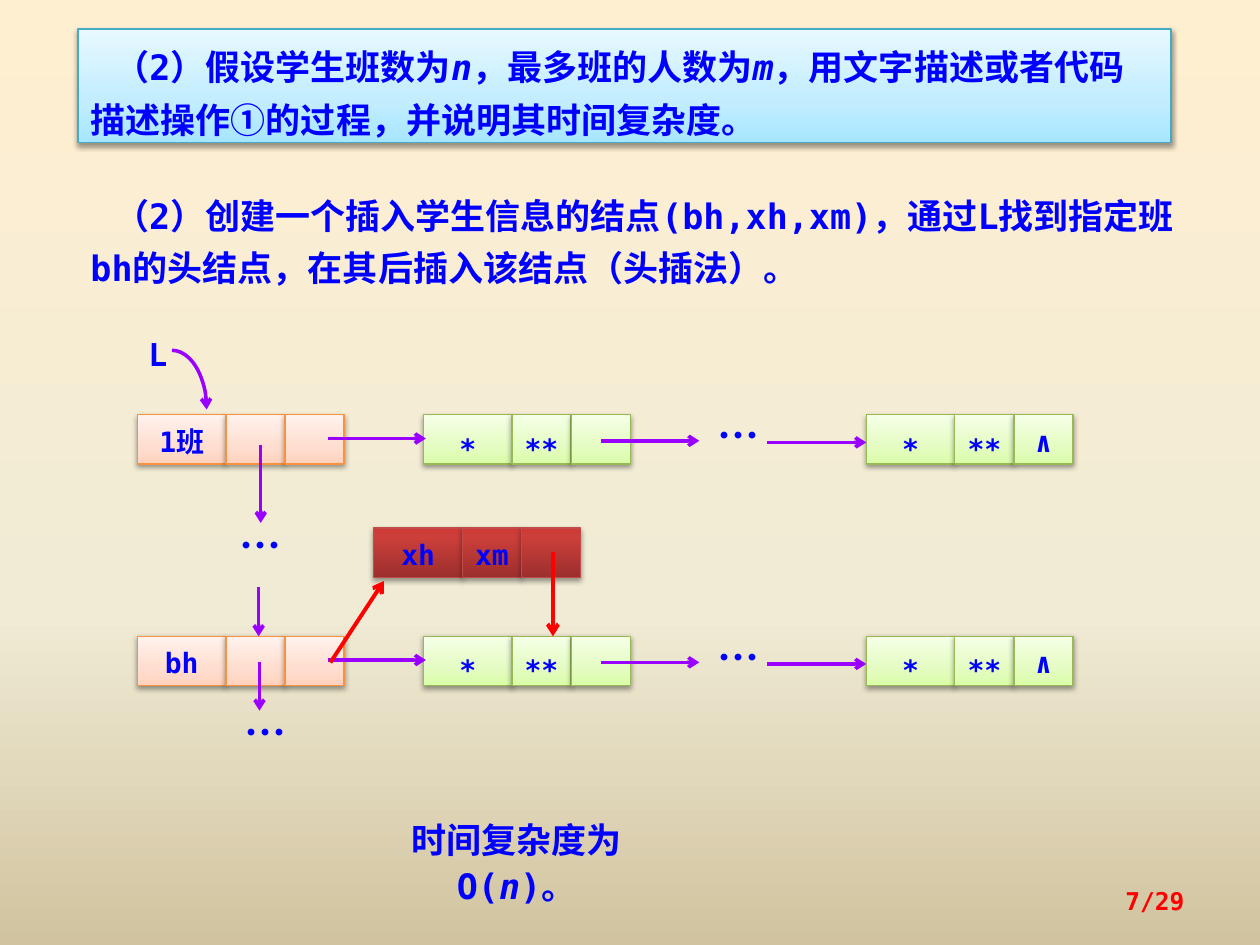
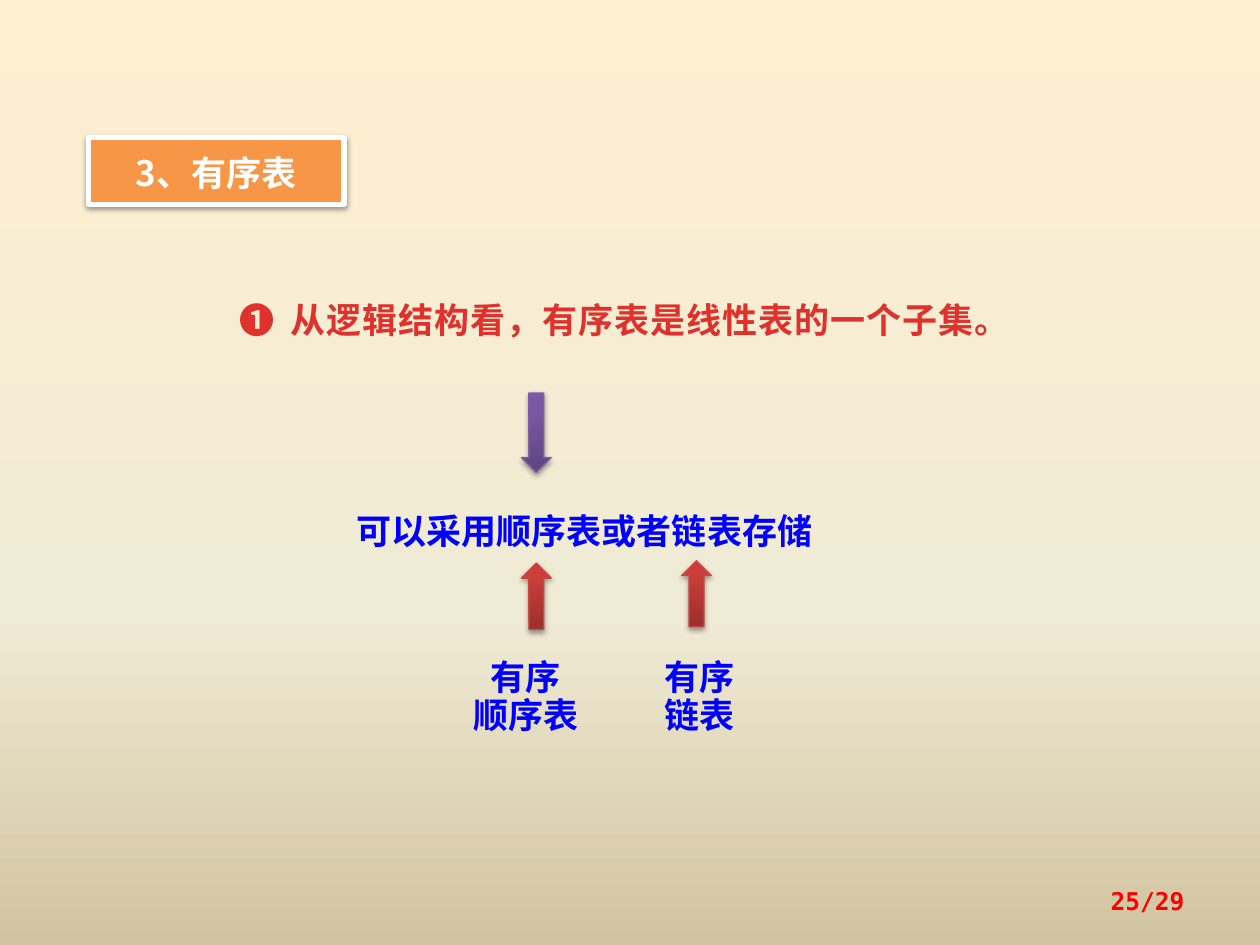
from lxml import etree
from pptx import Presentation
from pptx.dml.color import RGBColor
from pptx.enum import shapes, text
from pptx.oxml.ns import qn
from pptx.util import Pt

COLOURS = {
    "ink": "0000FF",
    "link": "9900FF",
    "insert": "FF0000",
    "point": "E0322D",
    "white": "FFFFFF",
    "orange": "F79646",
    "sky line": "46AAC5",
    "peach line": "F69240",
    "lime line": "98B955",
    "brick line": "BF4C48",
    "violet line": "7D60A0",
}
GRADIENTS = {
    "page": {0: "FFEFD1", 65: "F0EBD5", 100: "D1C39F"},
    "sky": {0: "A7E6FF", 35: "C1EDFF", 100: "E7F8FF"},
    "peach": {0: "FFD2BD", 35: "FFDED0", 100: "FFF2ED"},
    "lime": {0: "DAFDA7", 35: "E4FCC2", 100: "F5FFE7"},
    "brick": {0: "9C2F2D", 80: "CB3E3A", 100: "CE3B37"},
    "violet": {0: "5F4480", 80: "7B58A6", 100: "7C57A8"},
}
MONO = "DejaVu Sans Mono"
SANS = "Noto Sans CJK SC"
LEFT, CENTER, RIGHT = text.PP_ALIGN.LEFT, text.PP_ALIGN.CENTER, text.PP_ALIGN.RIGHT
TOP, MIDDLE = text.MSO_ANCHOR.TOP, text.MSO_ANCHOR.MIDDLE
SHAPE = shapes.MSO_SHAPE
CELL_WIDTHS = (50.6, 33.8, 33.8)
CELL_HEIGHT = 28.2


def colour(name):
    """Return the named colour."""
    return RGBColor.from_string(COLOURS[name])


class Painter:
    """Holds the deck style and draws elements on the current slide."""

    def __init__(self):
        """Start a deck with the shared background."""
        self.deck = Presentation()
        self.deck.slide_width, self.deck.slide_height = Pt(720), Pt(540)
        self.page = None
        master = self.deck.slide_master
        self.gradient(master.background.fill, master.element, "page", 270)

    def new_page(self, number):
        """Add a slide with its page number."""
        self.page = self.deck.slides.add_slide(self.deck.slide_layouts[5])
        self.label((516, 500.4, 168, 28.8), [number + "/29"], size=14, ink="insert",
                   align=RIGHT, anchor=MIDDLE, spacing=1.0)

    def gradient(self, fill, element, name, angle=90):
        """Fill with a named gradient."""
        fill.gradient()
        fill.gradient_angle = angle
        stops = element.find(".//" + qn("a:gsLst"))
        for stop in list(stops):
            stops.remove(stop)
        for place, value in GRADIENTS[name].items():
            stop = etree.SubElement(stops, qn("a:gs"), pos=str(place * 1000))
            etree.SubElement(stop, qn("a:srgbClr"), val=value)

    def finish(self, shape, fill, line, width=0.75):
        """Give a shape its fill, outline and soft shadow."""
        if fill in GRADIENTS:
            self.gradient(shape.fill, shape.element, fill)
        else:
            shape.fill.solid()
            shape.fill.fore_color.rgb = colour(fill)
        shape.line.color.rgb = colour(line)
        shape.line.width = Pt(width)
        shape.shadow.inherit = False
        effects = shape.element.spPr.find(qn("a:effectLst"))
        shadow = etree.SubElement(effects, qn("a:outerShdw"), blurRad=str(Pt(3.1)),
                                  dist=str(Pt(1.6)), dir="5400000", rotWithShape="0")
        black = etree.SubElement(shadow, qn("a:srgbClr"), val="000000")
        etree.SubElement(black, qn("a:alpha"), val="38000")

    def set_text(self, box, lines, size=20, font=MONO, ink="ink", align=LEFT,
                 anchor=TOP, spacing=1.1, indent=0, tab=0, tracking=0):
        """Set lines, each a string or a list of spans whose odd ones are italic."""
        frame = box.text_frame
        frame.word_wrap = True
        frame.auto_size = text.MSO_AUTO_SIZE.NONE
        frame.vertical_anchor = anchor
        for index, line in enumerate(lines):
            para = frame.add_paragraph() if index else frame.paragraphs[0]
            spans = [line] if isinstance(line, str) else line
            for order, words in enumerate(spans):
                span = para.add_run()
                span.text = words
                if order % 2:
                    span.font.italic = True
            para.alignment = align
            para.line_spacing = spacing
            para.space_before = Pt(0)
            props = para._p.get_or_add_pPr()
            if indent:
                props.set("indent", str(Pt(indent)))
            if tab:
                tabs = etree.SubElement(props, qn("a:tabLst"))
                etree.SubElement(tabs, qn("a:tab"), pos=str(Pt(tab)), algn="l")
            para.font.size = Pt(size)
            para.font.bold = True
            para.font.color.rgb = colour(ink)
            para.font.name = font
            defaults = props.find(qn("a:defRPr"))
            etree.SubElement(defaults, qn("a:ea"), typeface=SANS)
            if tracking:
                defaults.set("spc", str(int(tracking * 100)))

    def title(self, place, lines, fill, line, width=0.75, inset=3.6, **style):
        """Move and format the title placeholder."""
        box = self.page.shapes.title
        box.left, box.top, box.width, box.height = map(Pt, place)
        self.finish(box, fill, line, width)
        box.text_frame.margin_top = box.text_frame.margin_bottom = Pt(inset)
        self.set_text(box, lines, **style)

    def label(self, place, lines, **style):
        """Add a plain text box."""
        box = self.page.shapes.add_textbox(*map(Pt, place))
        self.set_text(box, lines, **style)

    def dots(self, left, top):
        """Add an ellipsis for omitted nodes."""
        self.label((left, top, 45, 39.6), ["…"], size=24, font=SANS)

    def block(self, kind, place, fill):
        """Add a preset shape with a gradient and matching outline."""
        shape = self.page.shapes.add_shape(kind, *map(Pt, place))
        self.finish(shape, fill, fill + " line")
        return shape

    def node(self, left, top, fill, labels):
        """Add a list node of three cells."""
        for width, words in zip(CELL_WIDTHS, labels):
            cell = self.block(SHAPE.RECTANGLE, (left, top, width, CELL_HEIGHT), fill)
            cell.text_frame.margin_left = cell.text_frame.margin_right = 0
            if words:
                self.set_text(cell, [words], size=16, align=CENTER, anchor=MIDDLE,
                              spacing=1.5 if "*" in words else 1.1)
            left += width

    def point_line(self, shape, ink, width):
        """Colour a line and give its end an open arrowhead."""
        shape.line.color.rgb = colour(ink)
        shape.line.width = Pt(width)
        outline = shape.element.spPr.find(qn("a:ln"))
        etree.SubElement(outline, qn("a:tailEnd"), type="arrow")

    def arrow(self, start, end, ink="link", width=2):
        """Add a straight arrow."""
        line = self.page.shapes.add_connector(
            shapes.MSO_CONNECTOR.STRAIGHT, *map(Pt, start + end))
        self.point_line(line, ink, width)
        etree.SubElement(line.element.spPr, qn("a:effectLst"))

    def curve(self, place):
        """Add a quarter arc with an arrowhead."""
        arc = self.page.shapes.add_shape(SHAPE.ARC, *map(Pt, place))
        arc.fill.background()
        self.point_line(arc, "link", 2)
        arc.shadow.inherit = False


def insertion_page(painter):
    """Draw the head insertion into a class list."""
    painter.new_page("7")
    question = ["（2）假设学生班数为", "n", "，最多班的人数为", "m",
                "，用文字描述或者代码描述操作①的过程，并说明其时间复杂度。"]
    painter.title((44.6, 16.6, 624.6, 64.8), [question], "sky", "sky line",
                  spacing=Pt(30), indent=13.5)
    painter.label((44.6, 101.5, 641.5, 64.8),
                  ["（2）创建一个插入学生信息的结点(bh,xh,xm)，通过L找到指定班bh的头结点，"
                   "在其后插入该结点（头插法）。"], spacing=Pt(30), indent=13.5)

    painter.curve((78.5, 200.2, 39.6, 67.7))
    painter.label((73.4, 185.8, 33.8, 30.2), ["L"], size=18, align=CENTER)
    for top, name in ((237, "1班"), (363.6, "bh")):
        painter.node(78.5, top, "peach", (name, "", ""))
        painter.node(242, top, "lime", ("*", "**", ""))
        painter.node(495, top, "lime", ("*", "**", "∧"))
        painter.dots(403.2, top - 9.4)
        for start, end, drop in ((187.2, 243.4, 13.6), (343.4, 399.6, 14.9),
                                 (438.5, 495, 15.8)):
            painter.arrow((start, top + drop), (end, top + drop))

    for x, start, end in ((149, 254.2, 298.8), (147.8, 335.5, 363.6),
                          (148.3, 378, 406.1)):
        painter.arrow((x, start), (x, end))
    painter.dots(129.6, 290.2)
    painter.dots(132.5, 397.4)

    painter.node(213.6, 301.7, "brick", ("xh", "xm", ""))
    painter.arrow((316, 315.4), (316, 363.6), "insert", 2.25)
    painter.arrow((188.8, 378.6), (219.4, 332), "insert", 2.25)
    painter.label((202.3, 461.5, 185.8, 32.4), [["时间复杂度为O(", "n", ")。"]],
                  align=CENTER)


def ordered_list_page(painter):
    """Draw the storage choices of an ordered list."""
    painter.new_page("25")
    painter.title((50.4, 78.5, 146.2, 38.2), ["3、有序表"], "orange", "white", 3,
                  inset=5.8, font=SANS, ink="white", align=CENTER)
    painter.label((129.6, 164.9, 495.4, 33.8),
                  ["❶\t从逻辑结构看，有序表是线性表的一个子集。"],
                  font=SANS, ink="point", tab=29.5, tracking=0.5)
    painter.block(SHAPE.DOWN_ARROW, (298, 224.6, 17, 45.4), "violet")
    painter.label((196.6, 285.1, 303.8, 33.8), ["可以采用顺序表或者链表存储"])
    for arrow_left, arrow_top, left, width, kind in (
            (298, 321.8, 253.4, 94.3, "顺序表"), (389.5, 320.4, 365.8, 67.7, "链表")):
        painter.block(SHAPE.UP_ARROW, (arrow_left, arrow_top, 17, 37.8), "brick")
        painter.label((left, 373, width, 51.8), ["有序", kind], font=SANS,
                      align=CENTER, spacing=Pt(22))


def main():
    """Build and save the deck."""
    painter = Painter()
    insertion_page(painter)
    ordered_list_page(painter)
    painter.deck.save("out.pptx")


if __name__ == "__main__":
    main()
